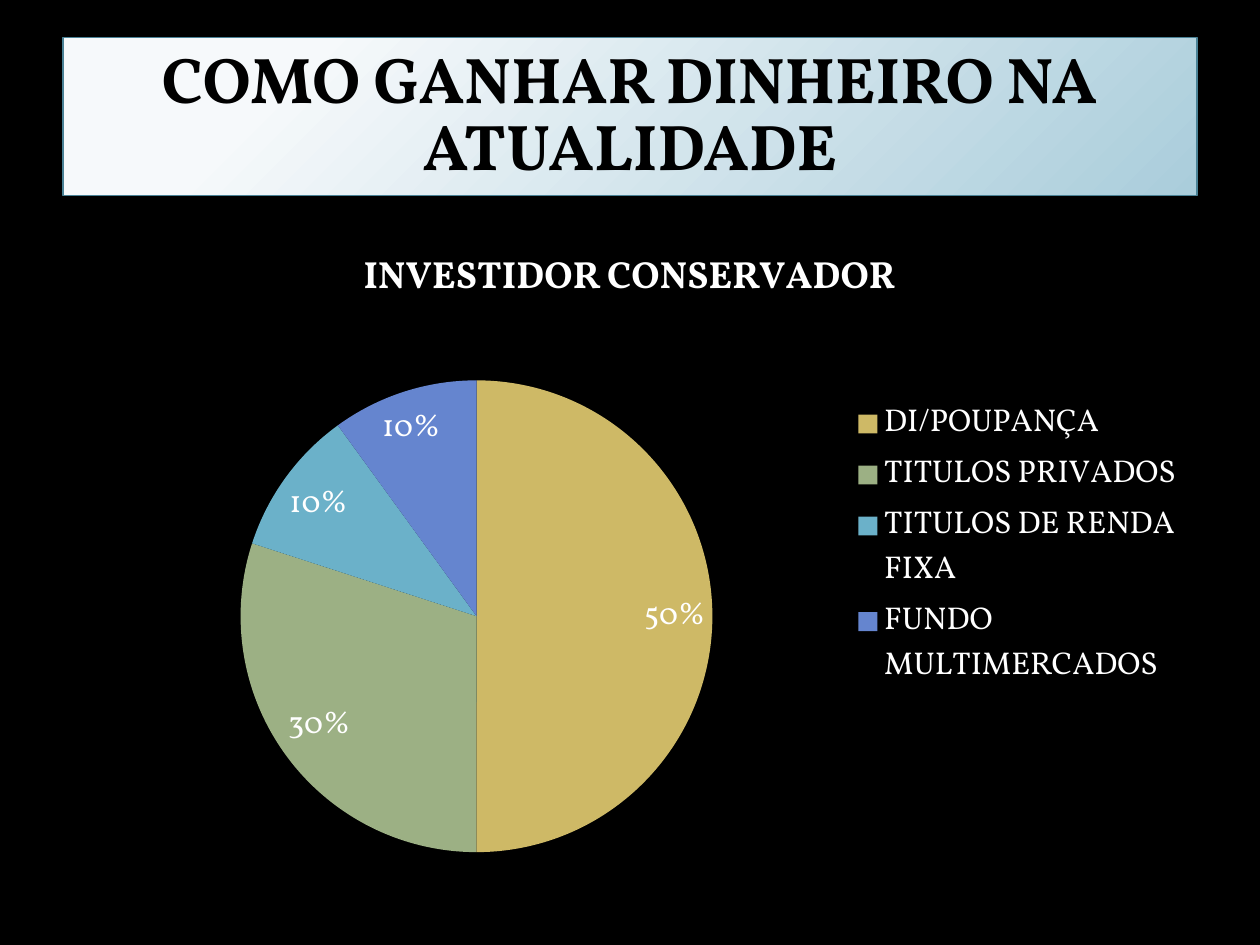
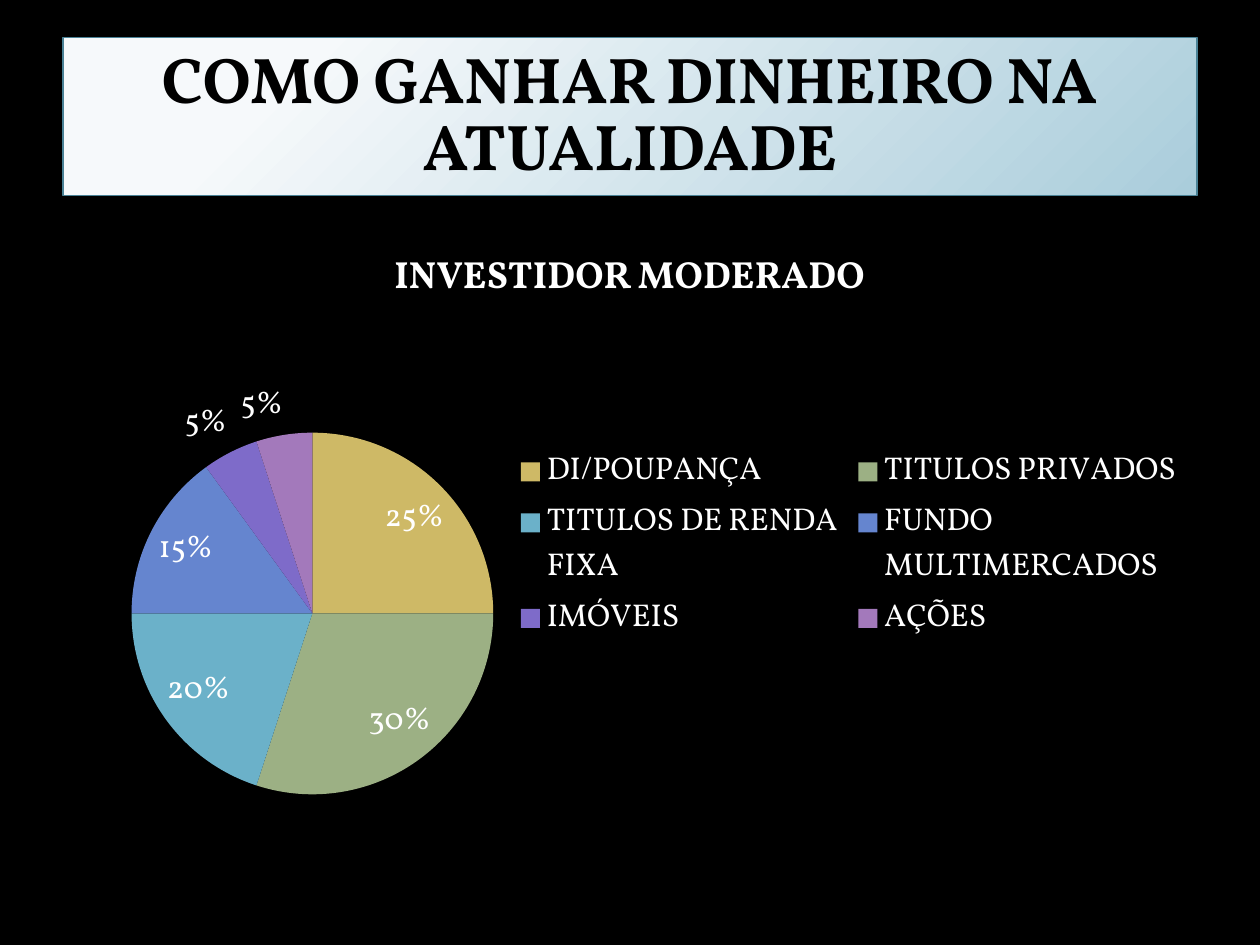
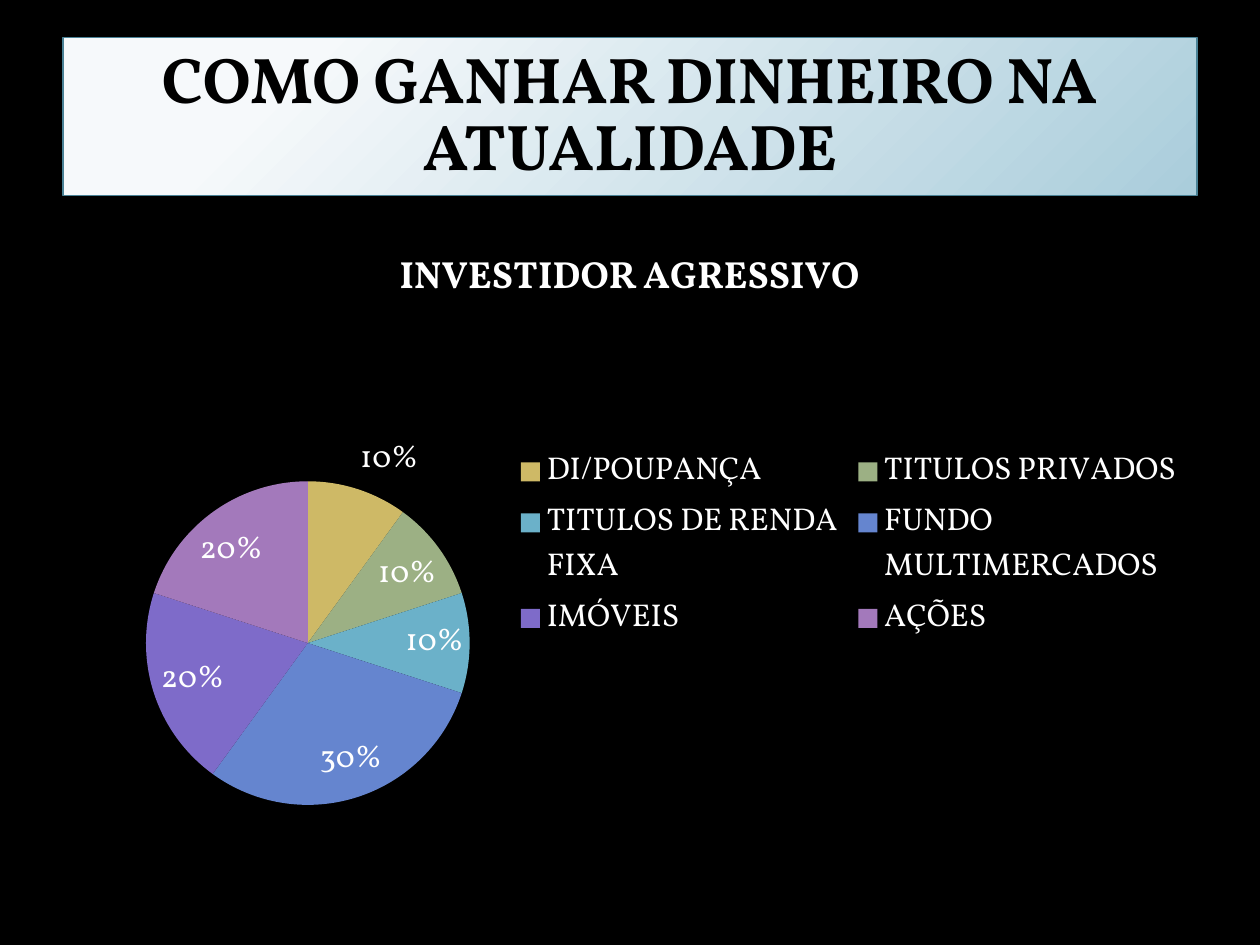
from lxml import etree
from pptx import Presentation
from pptx.chart.data import CategoryChartData as Data
from pptx.dml.color import RGBColor as RGB
from pptx.enum.chart import XL_CHART_TYPE as Kind, XL_LABEL_POSITION as Spot
from pptx.enum.chart import XL_LEGEND_POSITION as Side
from pptx.enum.text import MSO_ANCHOR as Anchor, MSO_AUTO_SIZE as Fit, PP_ALIGN as Align
from pptx.oxml import parse_xml
from pptx.oxml.ns import nsdecls, qn
from pptx.util import Cm, Pt

BLACK = RGB(0x00, 0x00, 0x00)
WHITE = RGB(0xFF, 0xFF, 0xFF)
PALE = RGB(0xF6, 0xF9, 0xFB)
SKY = RGB(0xAA, 0xCD, 0xDB)
TEAL = RGB(0x4A, 0x82, 0x96)
GOLD = RGB(0xCE, 0xB9, 0x66)
GREEN = RGB(0x9C, 0xB0, 0x84)
AQUA = RGB(0x6B, 0xB1, 0xC9)
BLUE = RGB(0x65, 0x85, 0xCF)
VIOLET = RGB(0x7E, 0x6B, 0xC9)
PLUM = RGB(0xA3, 0x79, 0xBB)
SLICES = [GOLD, GREEN, AQUA, BLUE, VIOLET, PLUM]

FONT = "Vollkorn"
TITLE = "COMO GANHAR DINHEIRO NA ATUALIDADE"
ASSETS = ["DI/POUPANÇA", "TITULOS PRIVADOS", "TITULOS DE RENDA FIXA",
          "FUNDO MULTIMERCADOS", "IMÓVEIS", "AÇÕES"]
# Heading, series name, share of each asset
PLANS = [
    ("INVESTIDOR CONSERVADOR", "INVESTIDOR CONSERVADOR", [0.5, 0.3, 0.1, 0.1]),
    ("INVESTIDOR MODERADO", "Series 1", [0.25, 0.3, 0.2, 0.15, 0.05, 0.05]),
    ("INVESTIDOR AGRESSIVO", "INVESTIDOR AGRESSIVO", [0.1, 0.1, 0.1, 0.3, 0.2, 0.2]),
]
LEFT, WIDTH = Cm(1.27), Cm(22.86)


def write(frame, text, size=18, color=WHITE, bold=False, gap=None):
    """Put one centred, formatted paragraph in a text frame."""
    para = frame.paragraphs[0]
    para.alignment = Align.CENTER
    para.line_spacing = gap
    run = para.add_run()
    run.text = text
    font = run.font
    font.name, font.size, font.bold = FONT, Pt(size), bold
    font.color.rgb = color


deck = Presentation()
deck.slide_width, deck.slide_height = Cm(25.4), Cm(19.05)
back = deck.slide_master.background.fill
back.solid()
back.fore_color.rgb = BLACK

for head, name, shares in PLANS:
    slide = deck.slides.add_slide(deck.slide_layouts[5])

    # Title band with a glow from its top left corner
    band = slide.shapes.title
    band.left, band.top, band.width, band.height = LEFT, Cm(0.76), WIDTH, Cm(3.18)
    band.shadow.inherit = False
    band.line.color.rgb = TEAL
    band.line.width = Pt(0.75)
    band.fill.gradient()
    for stop, place, color in zip(band.fill.gradient_stops, (0.2, 1), (PALE, SKY)):
        stop.position = place
        stop.color.rgb = color
    ramp = band.element.spPr.find(qn("a:gradFill"))
    glow = parse_xml(f'<a:path {nsdecls("a")} path="circle"><a:fillToRect '
                     'l="-15000" t="-15000" r="115000" b="115000"/></a:path>')
    ramp.replace(ramp.find(qn("a:lin")), glow)
    frame = band.text_frame
    frame.word_wrap = True
    frame.auto_size = Fit.NONE
    frame.vertical_anchor = Anchor.MIDDLE
    write(frame, TITLE, size=36.9, color=BLACK, bold=True, gap=0.87)

    # Pie of the portfolio
    data = Data(number_format="0%")
    data.categories = ASSETS[:len(shares)]
    data.add_series(name, shares)
    chart = slide.shapes.add_chart(Kind.PIE, LEFT, Cm(4.45), WIDTH, Cm(13.08), data).chart
    chart.font.name, chart.font.size = FONT, Pt(18)
    chart.font.color.rgb = WHITE
    chart.has_title = True
    write(chart.chart_title.text_frame, head, size=21.6, bold=True)
    chart.has_legend = True
    chart.legend.position = Side.RIGHT
    chart.legend.include_in_layout = False

    plot = chart.plots[0]
    plot.vary_by_categories = True
    for spot, color in zip(range(len(shares)), SLICES):
        fill = plot.series[0].points[spot].format.fill
        fill.solid()
        fill.fore_color.rgb = color
    plot.has_data_labels = True
    labels = plot.data_labels
    labels.show_value = True
    labels.show_percentage = False
    labels.number_format = "0%"
    labels.number_format_is_linked = False
    labels.position = Spot.BEST_FIT

deck.save("out.pptx")
